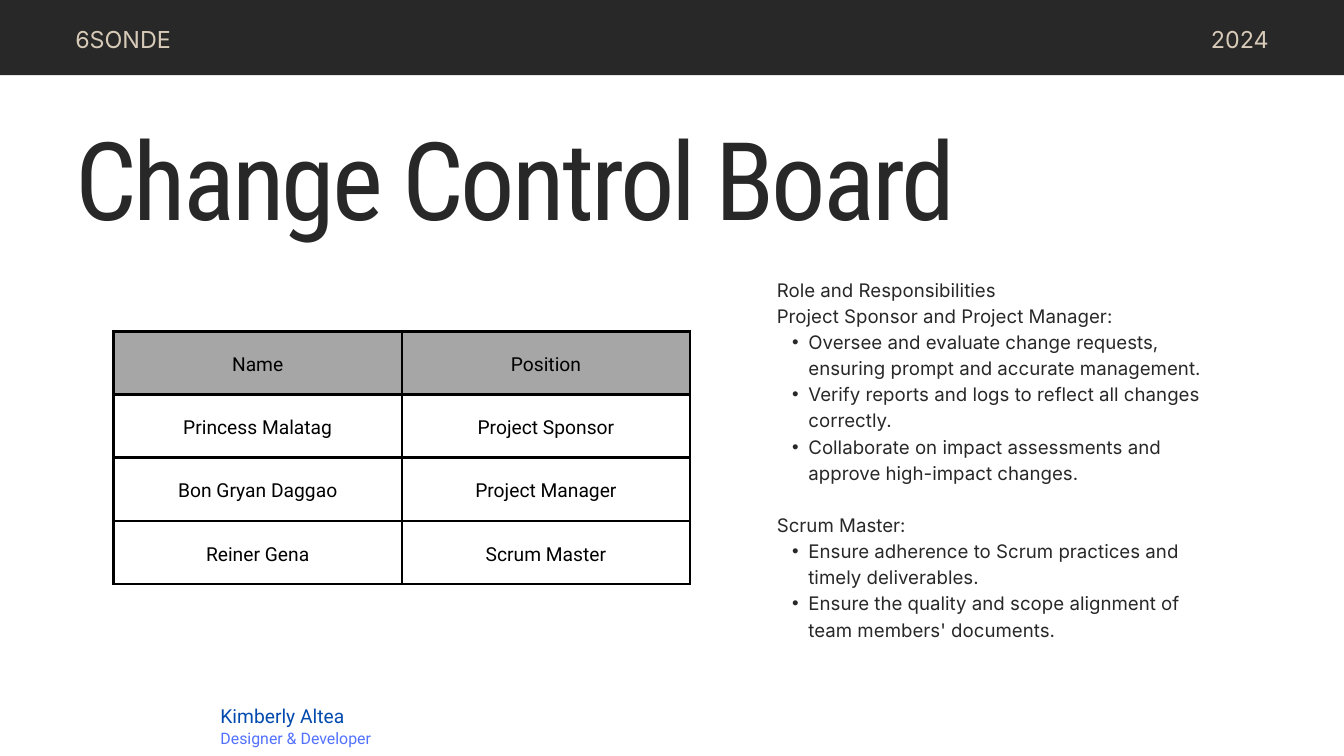
from lxml.etree import SubElement
from pptx import Presentation
from pptx.dml.color import RGBColor
from pptx.enum.shapes import MSO_SHAPE as Shape
from pptx.enum.text import MSO_ANCHOR as Anchor, MSO_AUTO_SIZE as AutoSize, PP_ALIGN as Align
from pptx.oxml.ns import qn
from pptx.util import Inches, Pt

COLORS = {"dark": "272827", "sand": "D7CAB8", "blue": "004AAD", "sky": "5271FF",
          "gray": "A6A6A6", "white": "FFFFFF", "black": "000000"}

# Content
TITLE = "Change Control Board"
TEAM, YEAR = "6SONDE", "2024"
AUTHOR, AUTHOR_ROLE = "Kimberly Altea", "Designer & Developer"
BOARD = [
    ("Name", "Position"),
    ("Princess Malatag", "Project Sponsor"),
    ("Bon Gryan Daggao", "Project Manager"),
    ("Reiner Gena", "Scrum Master"),
]
DUTIES_HEADING = "Role and Responsibilities"
DUTIES = [
    ("Project Sponsor and Project Manager:", [
        "Oversee and evaluate change requests, ensuring prompt and accurate management.",
        "Verify reports and logs to reflect all changes correctly.",
        "Collaborate on impact assessments and approve high-impact changes.",
    ]),
    ("Scrum Master:", [
        "Ensure adherence to Scrum practices and timely deliverables.",
        "Ensure the quality and scope alignment of team members' documents.",
    ]),
]

# Layout in inches
WIDTH, HEIGHT = 20, 11.25
MARGIN = 1.12
BAR_HEIGHT = 1.12
LABEL_TOP, LABEL_WIDTH, LABEL_HEIGHT = 0.3, 2.88, 0.47
AUTHOR_LEFT = 3.28
TABLE_LEFT, TABLE_TOP, COLUMN, ROW = 1.69, 4.93, 4.29, 0.94
CELL_INSET = 0.21


def color(name):
    return RGBColor.from_string(COLORS[name])


def style(para, size, font, tint, line, align=Align.LEFT):
    para.font.size, para.font.name = Pt(size), font
    para.font.color.rgb = color(tint)
    para.line_spacing, para.alignment = Pt(line), align


def prepare(frame):
    frame.margin_left = frame.margin_right = frame.margin_top = frame.margin_bottom = 0
    frame.word_wrap, frame.auto_size = True, AutoSize.NONE
    frame.vertical_anchor = Anchor.TOP
    return frame


def add_text(page, left, top, width, height, text, *look):
    box = page.shapes.add_textbox(*map(Inches, (left, top, width, height)))
    frame = prepare(box.text_frame)
    frame.text = text
    style(frame.paragraphs[0], *look)
    return frame


def add_bullet(para):
    props = para._p.get_or_add_pPr()
    props.set("marL", str(Inches(0.47)))
    props.set("indent", str(Inches(-0.24)))
    SubElement(props, qn("a:buFont"), typeface="Arial")
    SubElement(props, qn("a:buChar"), char="•")


def add_borders(cell):
    # Borders come before the fill in the cell properties
    props = cell._tc.get_or_add_tcPr()
    for index, side in enumerate(("a:lnL", "a:lnR", "a:lnT", "a:lnB")):
        line = SubElement(props, qn(side), w=str(Pt(3)))
        fill = SubElement(line, qn("a:solidFill"))
        SubElement(fill, qn("a:srgbClr"), val=COLORS["black"])
        props.insert(index, line)


def add_header(page):
    bar = page.shapes.add_shape(Shape.RECTANGLE, 0, 0, Inches(WIDTH), Inches(BAR_HEIGHT))
    bar.shadow.inherit = False
    bar.fill.solid()
    bar.fill.fore_color.rgb = color("dark")
    bar.line.fill.background()
    labels = [(MARGIN, TEAM, Align.LEFT),
              (WIDTH - MARGIN - LABEL_WIDTH, YEAR, Align.RIGHT)]
    for left, text, align in labels:
        add_text(page, left, LABEL_TOP, LABEL_WIDTH, LABEL_HEIGHT, text,
                 25, "Inter", "sand", 35, align)


def add_title(page):
    title = page.shapes.title
    title.left, title.top = Inches(MARGIN), Inches(2.19)
    title.width, title.height = Inches(WIDTH - 2 * MARGIN - 1), Inches(1.53)
    frame = prepare(title.text_frame)
    frame.text = TITLE
    para = frame.paragraphs[0]
    style(para, 116.4, "Roboto Condensed", "dark", 101.3)
    para.runs[0]._r.get_or_add_rPr().set("spc", "-320")


def add_board(page):
    rows, columns = len(BOARD), len(BOARD[0])
    size = (TABLE_LEFT, TABLE_TOP, COLUMN * columns, ROW * rows)
    table = page.shapes.add_table(rows, columns, *map(Inches, size)).table
    for r, names in enumerate(BOARD):
        for c, text in enumerate(names):
            cell = table.cell(r, c)
            cell.text = text
            cell.vertical_anchor = Anchor.MIDDLE
            cell.margin_left = cell.margin_right = Inches(CELL_INSET)
            cell.margin_top = cell.margin_bottom = Inches(CELL_INSET)
            cell.fill.solid()
            cell.fill.fore_color.rgb = color("white" if r else "gray")
            add_borders(cell)
            style(cell.text_frame.paragraphs[0], 20.6, "Roboto", "black", 28.8, Align.CENTER)


def add_duties(page):
    look = (20, "Inter", "dark", 28)
    frame = add_text(page, 11.56, 4.09, 6.33, 5.39, DUTIES_HEADING, *look)
    for index, (role, duties) in enumerate(DUTIES):
        para = frame.add_paragraph()
        para.text = role
        style(para, *look)
        para.space_before = Pt(28 if index else 0)
        for duty in duties:
            para = frame.add_paragraph()
            para.text = duty
            style(para, *look)
            add_bullet(para)


def main():
    deck = Presentation()
    deck.slide_width, deck.slide_height = Inches(WIDTH), Inches(HEIGHT)
    page = deck.slides.add_slide(deck.slide_layouts[5])
    add_header(page)
    add_title(page)
    add_board(page)
    add_duties(page)
    # Author credit
    add_text(page, AUTHOR_LEFT, 10.42, 2.82, 0.37, AUTHOR, 20.6, "Roboto", "blue", 28.8)
    add_text(page, AUTHOR_LEFT, 10.8, 5.18, 0.3, AUTHOR_ROLE, 17, "Roboto", "sky", 23.8)
    deck.save("out.pptx")


if __name__ == "__main__":
    main()
